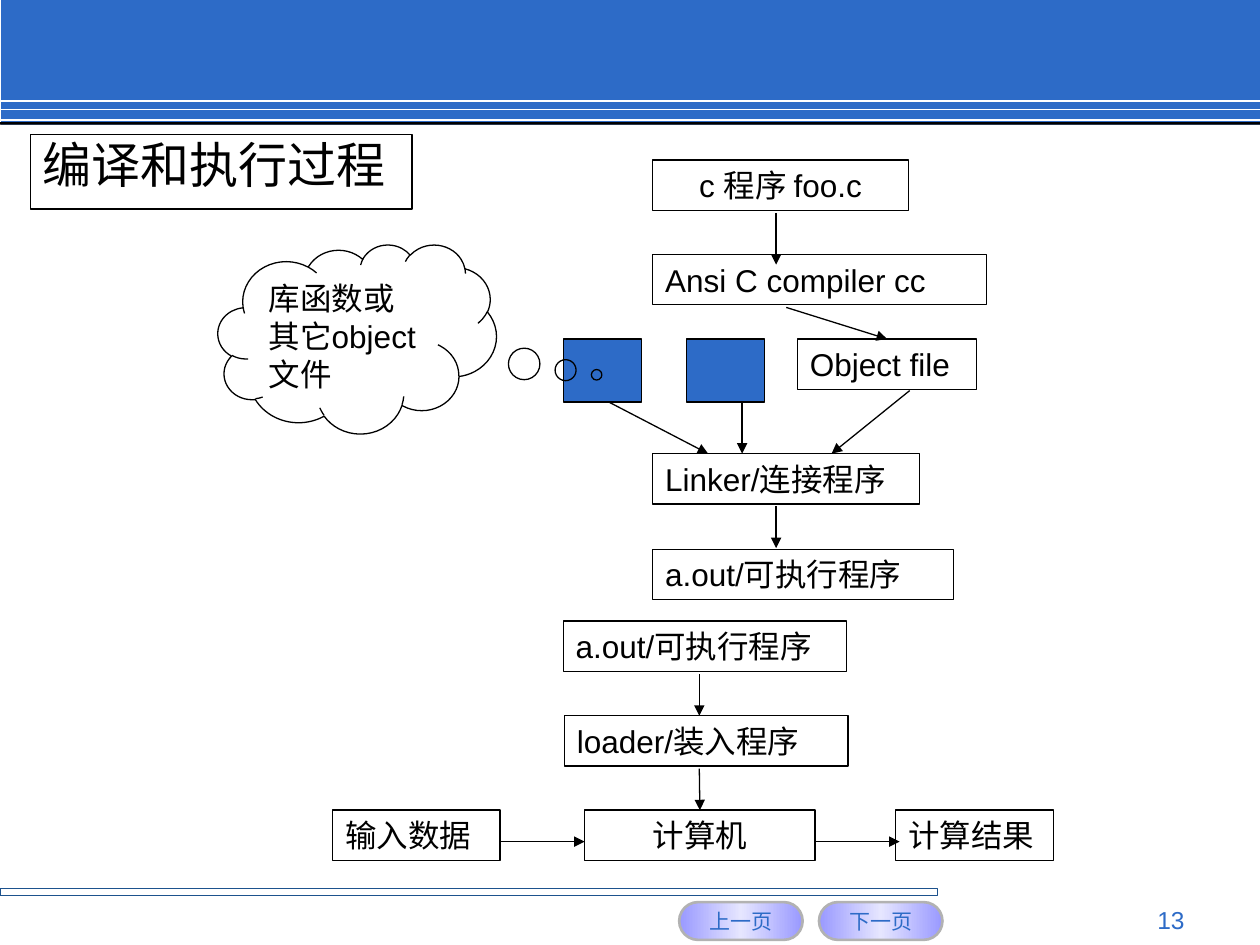
from copy import deepcopy
from dataclasses import dataclass

from pptx import Presentation
from pptx.dml.color import RGBColor
from pptx.enum.shapes import MSO_CONNECTOR, MSO_SHAPE
from pptx.enum.text import MSO_ANCHOR, PP_ALIGN
from pptx.oxml.ns import qn
from pptx.shapes.autoshape import Shape
from pptx.shapes.connector import Connector
from pptx.slide import Slide
from pptx.text.text import TextFrame
from pptx.util import Inches, Pt
from lxml.etree import SubElement

BLUE = RGBColor(0x2D, 0x6B, 0xC7)
NAVY = RGBColor(0x1D, 0x52, 0x8D)
BLACK = RGBColor(0, 0, 0)
WHITE = RGBColor(0xFF, 0xFF, 0xFF)
LILAC = RGBColor(0x99, 0x99, 0xFF)
PALE = RGBColor(0xE6, 0xE6, 0xFF)
GRAY = RGBColor(0xB2, 0xB2, 0xB2)
FONT = "Arial"
THIN = 0.75
HIGH = 0.4


@dataclass
class Step:
    name: str
    text: str
    left: float
    top: float
    width: float
    align: PP_ALIGN = PP_ALIGN.LEFT


@dataclass
class Arrow:
    x1: float
    y1: float
    x2: float
    y2: float
    goal: str = ""


STEPS = [
    Step("source", "c 程序 foo.c", 5.18, 1.27, 2.03, PP_ALIGN.CENTER),
    Step("compiler", "Ansi C compiler cc", 5.18, 2.02, 2.65),
    Step("object", "Object file", 6.33, 2.69, 1.42),
    Step("linker", "Linker/连接程序", 5.18, 3.6, 2.12),
    Step("output", "a.out/可执行程序", 5.18, 4.36, 2.39),
    Step("program", "a.out/可执行程序", 4.47, 4.93, 2.25),
    Step("loader", "loader/装入程序", 4.48, 5.68, 2.25),
    Step("machine", "计算机", 4.64, 6.43, 1.83, PP_ALIGN.CENTER),
    Step("input", "输入数据", 2.64, 6.43, 1.33),
    Step("result", "计算结果", 7.11, 6.43, 1.25),
]

ARROWS = [
    Arrow(6.16, 1.69, 6.16, 2.1),
    Arrow(6.24, 2.44, 7.04, 2.69, "object"),
    Arrow(4.83, 3.19, 5.62, 3.6),
    Arrow(5.89, 3.19, 5.89, 3.6),
    Arrow(7.22, 3.1, 6.6, 3.6),
    Arrow(6.16, 4.02, 6.16, 4.35),
    Arrow(5.55, 5.35, 5.55, 5.68),
    Arrow(5.55, 6.1, 5.55, 6.43, "machine"),
    Arrow(3.97, 6.68, 4.64, 6.68),
    Arrow(6.47, 6.68, 7.14, 6.68),
]


def add_box(slide: Slide, kind: MSO_SHAPE, left: float, top: float,
            width: float, height: float, fill: RGBColor | None = None,
            line: RGBColor | None = None, weight: float = THIN) -> Shape:
    box = slide.shapes.add_shape(kind, Inches(left), Inches(top),
                                 Inches(width), Inches(height))
    box.shadow.inherit = False
    if fill is None:
        box.fill.background()
    else:
        box.fill.solid()
        box.fill.fore_color.rgb = fill
    if line is None:
        box.line.fill.background()
    else:
        box.line.color.rgb = line
        box.line.width = Pt(weight)
    return box


def add_text(frame: TextFrame, text: str, size: float, color: RGBColor = BLACK,
             align: PP_ALIGN = PP_ALIGN.LEFT,
             anchor: MSO_ANCHOR = MSO_ANCHOR.TOP, wrap: bool = True) -> None:
    frame.word_wrap = wrap
    frame.vertical_anchor = anchor
    para = frame.paragraphs[0]
    para.alignment = align
    run = para.add_run()
    run.text = text
    run.font.name = FONT
    run.font.size = Pt(size)
    run.font.color.rgb = color


def add_line(slide: Slide, x1: float, y1: float, x2: float, y2: float,
             color: RGBColor = BLACK, weight: float = THIN) -> Connector:
    line = slide.shapes.add_connector(MSO_CONNECTOR.STRAIGHT, Inches(x1),
                                      Inches(y1), Inches(x2), Inches(y2))
    line.line.color.rgb = color
    line.line.width = Pt(weight)
    SubElement(line._element.spPr, qn("a:effectLst"))
    return line


def add_arrow(slide: Slide, arrow: Arrow, boxes: dict[str, Shape]) -> None:
    line = add_line(slide, arrow.x1, arrow.y1, arrow.x2, arrow.y2)
    SubElement(line.line._get_or_add_ln(), qn("a:tailEnd"), type="triangle")
    if arrow.goal:
        line.end_connect(boxes[arrow.goal], 0)


def add_button(slide: Slide, left: float, text: str) -> None:
    button = add_box(slide, MSO_SHAPE.ROUNDED_RECTANGLE, left, 7.16, 0.98, 0.3,
                     line=GRAY, weight=1.5)
    button.adjustments[0] = 0.5
    button.fill.gradient()
    button.fill.gradient_angle = 0
    for stop in button.fill.gradient_stops:
        stop.color.rgb = LILAC
    first = button._element.spPr.find(qn("a:gradFill")).find(qn("a:gsLst"))[0]
    first.addnext(deepcopy(first))
    middle = button.fill.gradient_stops[1]
    middle.position = 0.5
    middle.color.rgb = PALE
    add_text(button.text_frame, text, 12, BLUE, PP_ALIGN.CENTER,
             MSO_ANCHOR.MIDDLE, False)


def add_frame(slide: Slide) -> None:
    add_box(slide, MSO_SHAPE.RECTANGLE, 0.01, 0, 9.99, 0.99, BLUE)
    for y in (0.8, 0.87, 0.95):
        add_line(slide, 0, y, 10, y, WHITE, 1)
    add_box(slide, MSO_SHAPE.RECTANGLE, 0, 0.97, 10, 0.02, BLACK)
    add_box(slide, MSO_SHAPE.RECTANGLE, 0, 7.05, 7.44, 0.06, line=NAVY)
    add_button(slide, 5.39, "上一页")
    add_button(slide, 6.5, "下一页")
    number = slide.shapes.add_textbox(Inches(7.17), Inches(7.13),
                                      Inches(2.33), Inches(0.27))
    add_text(number.text_frame, "13", 14, BLUE, PP_ALIGN.RIGHT)


def add_title(slide: Slide) -> None:
    title = slide.shapes.title
    title.left, title.top = Inches(0.24), Inches(1.07)
    title.width, title.height = Inches(3.03), Inches(0.59)
    title.line.color.rgb = BLACK
    title.line.width = Pt(THIN)
    add_text(title.text_frame, "编译和执行过程", 28)
    title.text_frame.paragraphs[0].line_spacing = 0.9


def add_flow(slide: Slide) -> None:
    boxes = {}
    for step in STEPS:
        box = add_box(slide, MSO_SHAPE.RECTANGLE, step.left, step.top,
                      step.width, HIGH, line=BLACK)
        add_text(box.text_frame, step.text, 18, align=step.align)
        boxes[step.name] = box
    for left in (4.47, 5.45):
        add_box(slide, MSO_SHAPE.RECTANGLE, left, 2.69, 0.62, 0.5, BLUE, BLACK)
    for arrow in ARROWS:
        add_arrow(slide, arrow, boxes)
    cloud = add_box(slide, MSO_SHAPE.CLOUD_CALLOUT, 1.73, 1.94, 2.21, 1.5,
                    line=BLACK)
    cloud.adjustments[0], cloud.adjustments[1] = 0.86, 0.19
    add_text(cloud.text_frame, "库函数或其它object文件", 18)


def main() -> None:
    deck = Presentation()
    deck.slide_width, deck.slide_height = Inches(10), Inches(7.5)
    slide = deck.slides.add_slide(deck.slide_layouts[5])
    add_frame(slide)
    add_title(slide)
    add_flow(slide)
    deck.save("out.pptx")


if __name__ == "__main__":
    main()
